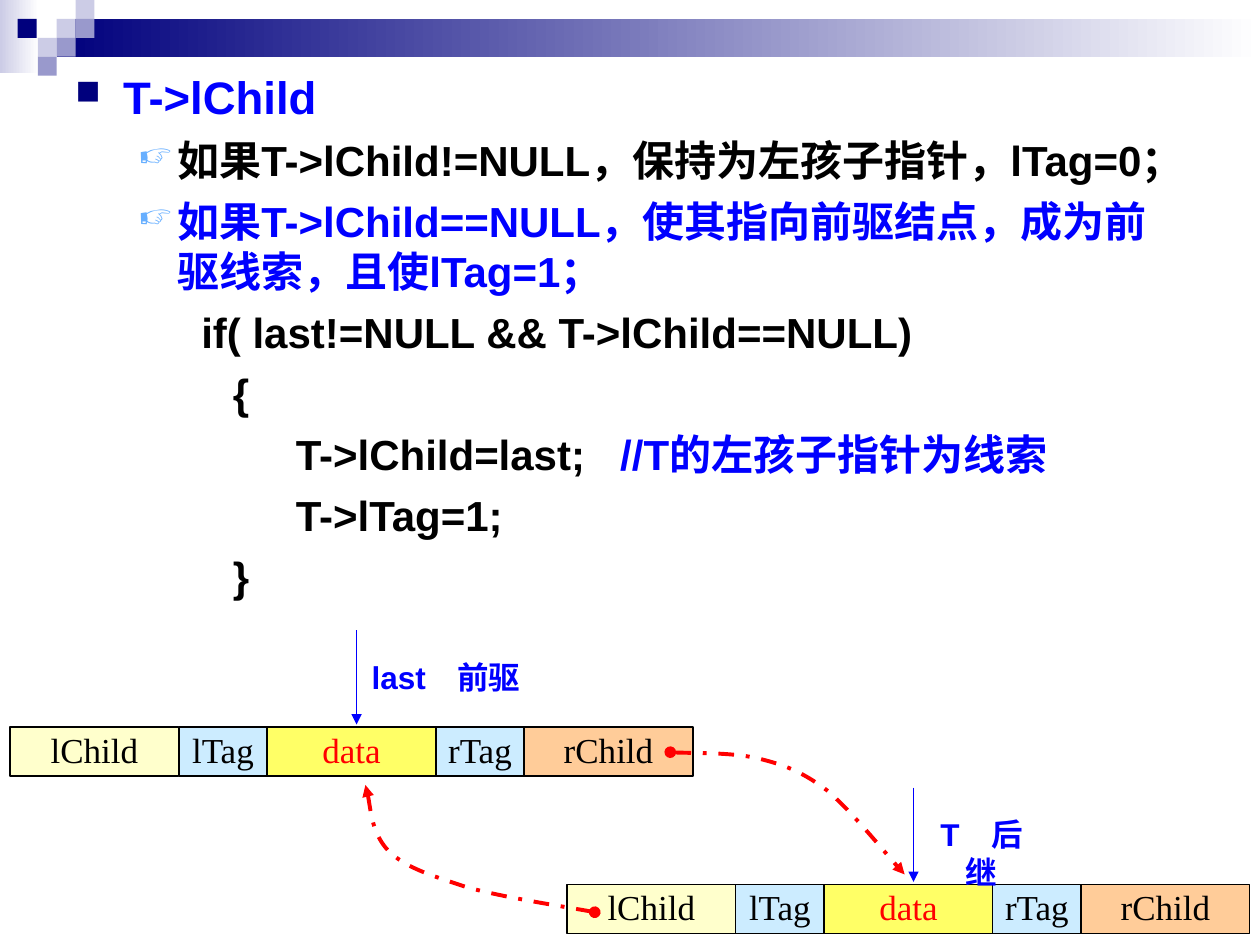
from lxml import etree
from pptx import Presentation
from pptx import util as u
from pptx.dml.color import RGBColor
from pptx.enum import dml, shapes, text
from pptx.oxml.ns import qn

Inches, Pt = u.Inches, u.Pt
NAVY, LILAC, MID = "00007D", "CCCCE6", "9999CC"
BLUE, BLACK, RED = "0000FF", "000000", "FF0000"


def rgb(value):
    return RGBColor.from_string(value)


def add_text(p, content, size=24, color=BLACK, font="Arial", bold=True):
    r = p.add_run()
    r.text = content
    r.font.size, r.font.name, r.font.bold = Pt(size), font, bold
    r.font.color.rgb = rgb(color)


prs = Presentation()
prs.slide_width, prs.slide_height = Inches(10), Inches(7.5)
s = prs.slides.add_slide(prs.slide_layouts[6])

# Header band and mosaic: left, top, width, height, colour, fades to white
q = 0.15
for x, y, w, h, color, fades in [
    (0, 0, 0.31, 0.58, LILAC, True),
    (0.45, q, 9.55, 0.3, NAVY, True),
    (0.45, q, q, q, LILAC, False),
    (0.6, 0, q, q, LILAC, False),
    (0.6, q, q, q, MID, False),
    (0.3, 0.3, q, q, LILAC, False),
    (0.14, q, q, q, NAVY, False),
    (0.45, 0.3, q, q, MID, False),
    (0.3, 0.45, q, q, MID, False),
]:
    sp = s.shapes.add_shape(shapes.MSO_SHAPE.RECTANGLE, Inches(x), Inches(y), Inches(w), Inches(h))
    sp.shadow.inherit = False
    sp.line.fill.background()
    if fades:
        sp.fill.gradient()
        sp.fill.gradient_angle = 0
        for stop, stop_color in zip(sp.fill.gradient_stops, (color, "FFFFFF")):
            stop.color.rgb = rgb(stop_color)
            stop.position = 0 if stop_color == color else 1
    else:
        sp.fill.solid()
        sp.fill.fore_color.rgb = rgb(color)

# Body: level, runs of (text, colour)
body = [
    (0, [("T->lChild", BLUE)]),
    (1, [("如果T->lChild!=NULL，保持为左孩子指针，lTag=0；", BLACK)]),
    (1, [("如果T->lChild==NULL，使其指向前驱结点，成为前驱线索，且使lTag=1；", BLUE)]),
    (2, [("if( last!=NULL && T->lChild==NULL)", BLACK)]),
    (2, [("\t{", BLACK)]),
    (2, [("\t\tT->lChild=last;   ", BLACK), ("//T的左孩子指针为线索", BLUE)]),
    (2, [("\t\tT->lTag=1;", BLACK)]),
    (2, [("\t}", BLACK)]),
]
# Per level: left margin, indent, size, bullet (character, colour, percent)
levels = [
    (0.38, -0.38, 26, ("■", NAVY, 75)),
    (0.81, -0.31, 24, ("☞", "67AFFF", 80)),
    (1.25, -0.25, 24, None),
]
tf = s.shapes.add_textbox(Inches(0.5), Inches(0.5), Inches(9), Inches(7)).text_frame
tf.word_wrap = True
for i, (level, runs) in enumerate(body):
    p = tf.paragraphs[0] if i == 0 else tf.add_paragraph()
    margin, indent, size, bullet = levels[level]
    p.level = level
    p.space_before = Pt(6 if i else 0)
    pPr = p._p.get_or_add_pPr()
    pPr.set("marL", str(Inches(margin)))
    pPr.set("indent", str(Inches(indent)))
    if bullet:
        char, color, percent = bullet
        clr = etree.SubElement(pPr, qn("a:buClr"))
        etree.SubElement(clr, qn("a:srgbClr"), val=color)
        etree.SubElement(pPr, qn("a:buSzPct"), val=str(percent * 1000))
        etree.SubElement(pPr, qn("a:buChar"), char=char)
    else:
        etree.SubElement(pPr, qn("a:buNone"))
        tabs = etree.SubElement(pPr, qn("a:tabLst"))
        for pos in (1.25, 2.25):
            etree.SubElement(tabs, qn("a:tab"), pos=str(Inches(pos)), algn="l")
    for content, color in runs:
        add_text(p, content, size=size, color=color)

# Two tree nodes, each a row of five fields
fields = [
    ("lChild", 1.34, "FFFFCC", BLACK),
    ("lTag", 0.7, "CCECFF", BLACK),
    ("data", 1.34, "FFFF66", RED),
    ("rTag", 0.7, "CCECFF", BLACK),
    ("rChild", 1.34, "FFCC99", BLACK),
]
for x, y in [(4.5, 7.02), (0.08, 5.77)]:
    for name, w, fill, color in fields:
        sp = s.shapes.add_shape(shapes.MSO_SHAPE.RECTANGLE, Inches(x), Inches(y), Inches(w), Inches(0.39))
        sp.shadow.inherit = False
        sp.fill.solid()
        sp.fill.fore_color.rgb = rgb(fill)
        sp.line.color.rgb = rgb(BLACK)
        sp.line.width = Pt(0.75)
        tf = sp.text_frame
        tf.word_wrap = False
        tf.margin_top = Inches(0.01)
        tf.vertical_anchor = text.MSO_ANCHOR.MIDDLE
        p = tf.paragraphs[0]
        p.alignment = text.PP_ALIGN.CENTER
        add_text(p, name, size=20, color=color, font="Times New Roman", bold=False)
        x += w

# Pointer arrows and their labels
for x, y in [(2.83, 5), (7.25, 6.25)]:
    arrow = s.shapes.add_connector(
        shapes.MSO_CONNECTOR.STRAIGHT, Inches(x), Inches(y), Inches(x), Inches(y + 0.75))
    arrow.line.color.rgb = rgb(BLUE)
    arrow.line.width = Pt(0.75)
    etree.SubElement(arrow.line._get_or_add_ln(), qn("a:tailEnd"), type="triangle")
    etree.SubElement(arrow._element.spPr, qn("a:effectLst"))

for label, x, y, w, h in [("T　后继", 7.25, 6.42, 1.08, 0.7), ("last　前驱", 2.5, 5.17, 2.08, 0.4)]:
    tf = s.shapes.add_textbox(Inches(x), Inches(y), Inches(w), Inches(h)).text_frame
    tf.word_wrap = True
    p = tf.paragraphs[0]
    p.alignment = text.PP_ALIGN.CENTER
    add_text(p, label, size=18, color=BLUE)

# Thread curves: start point followed by Bezier triples
for points, head, tail in [
    ([(5.32, 5.97), (5.43, 5.98), (5.81, 5.97), (6.02, 6.02), (6.22, 6.07),
      (6.36, 6.12), (6.56, 6.27), (6.75, 6.43), (7.05, 6.8), (7.18, 6.94)], "oval", "triangle"),
    ([(2.9, 6.23), (2.93, 6.31), (2.95, 6.61), (3.08, 6.75), (3.22, 6.89),
      (3.43, 6.95), (3.7, 7.04), (3.98, 7.12), (4.51, 7.2), (4.72, 7.24)], "triangle", "oval"),
]:
    points = [(Inches(x), Inches(y)) for x, y in points]
    fb = s.shapes.build_freeform(*points[0])
    fb.add_line_segments(points[1:], close=False)
    sp = fb.convert_to_shape()
    segments = sp._element.xpath(".//a:lnTo")
    for i in range(0, len(segments), 3):
        curve = etree.Element(qn("a:cubicBezTo"))
        segments[i].addprevious(curve)
        for segment in segments[i:i + 3]:
            curve.append(segment[0])
            segment.getparent().remove(segment)
    sp.shadow.inherit = False
    sp.fill.background()
    sp.line.color.rgb = rgb(RED)
    sp.line.width = Pt(2.25)
    sp.line.dash_style = dml.MSO_LINE.DASH_DOT
    ln = sp.line._get_or_add_ln()
    etree.SubElement(ln, qn("a:headEnd"), type=head)
    etree.SubElement(ln, qn("a:tailEnd"), type=tail)

prs.save("out.pptx")
